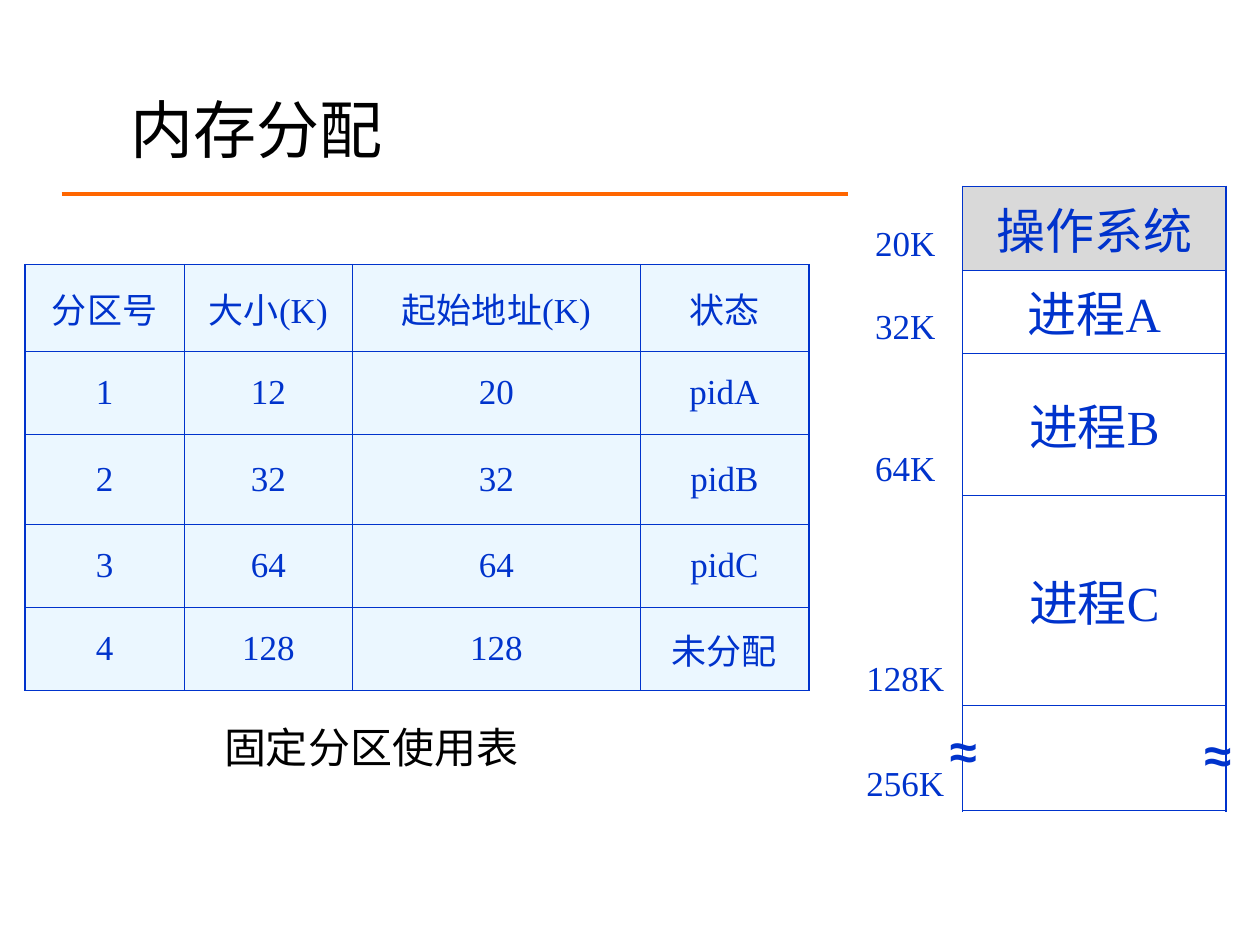
from lxml.etree import SubElement
from pptx import Presentation
from pptx.dml.color import RGBColor
from pptx.enum.shapes import MSO_CONNECTOR
from pptx.enum.text import MSO_ANCHOR, PP_ALIGN
from pptx.oxml.ns import qn
from pptx.util import Inches, Pt

COLORS = {
    "ink": "000000",
    "blue": "0033CC",
    "rule": "FF6600",
    "pale": "EBF7FF",
    "system": "D9D9D9",
    "white": "FFFFFF",
}
THIN, THICK = 0.45, 1.08


def write_text(frame, text, size, font, color, bold=False, align=PP_ALIGN.LEFT):
    paragraph = frame.paragraphs[0]
    paragraph.alignment = align
    run = paragraph.add_run()
    run.text = text
    run.font.size = Pt(size)
    run.font.name = font
    run.font.bold = bold
    run.font.color.rgb = RGBColor.from_string(COLORS[color])


def fill_cell(cell, text, size, fill, anchor, borders):
    properties = cell._tc.get_or_add_tcPr()
    for side in "LRTB":
        width = borders.get(side, 0)
        line = SubElement(properties, qn(f"a:ln{side}"), w=str(Pt(width)))
        if width:
            solid = SubElement(line, qn("a:solidFill"))
            SubElement(solid, qn("a:srgbClr"), val=COLORS["blue"])
        else:
            SubElement(line, qn("a:noFill"))
    cell.fill.solid()
    cell.fill.fore_color.rgb = RGBColor.from_string(COLORS[fill])
    cell.vertical_anchor = anchor
    if text:
        write_text(cell.text_frame, text, size, "Times New Roman", "blue", align=PP_ALIGN.CENTER)


presentation = Presentation()
presentation.slide_width = Inches(10)
presentation.slide_height = Inches(7.5)
slide = presentation.slides.add_slide(presentation.slide_layouts[6])

title_rule = slide.shapes.add_connector(
    MSO_CONNECTOR.STRAIGHT, Inches(0.49), Inches(1.54), Inches(9.57), Inches(1.54)
)
title_rule.line.color.rgb = RGBColor.from_string(COLORS["rule"])
title_rule.line.width = Pt(2.25)
SubElement(title_rule._element.spPr, qn("a:effectLst"))

partition_rows = [
    ["分区号", "大小(K)", "起始地址(K)", "状态"],
    ["1", "12", "20", "pidA"],
    ["2", "32", "32", "pidB"],
    ["3", "64", "64", "pidC"],
    ["4", "128", "128", "未分配"],
]
memory_rows = [
    ["20K", "操作系统"],
    ["32K", "进程A"],
    ["64K", "进程B"],
    ["128K", "进程C"],
    ["256K", ""],
]
table_layouts = [
    (partition_rows, 0.2, 2.1, [1.26, 1.34, 2.28, 1.34], [0.69, 0.66, 0.71, 0.66, 0.66]),
    (memory_rows, 6.73, 1.48, [0.91, 2.09], [0.66, 0.66, 1.13, 1.66, 0.84]),
]
tables = []
for rows, left, top, widths, heights in table_layouts:
    table = slide.shapes.add_table(
        len(rows), len(widths), Inches(left), Inches(top),
        Inches(sum(widths)), Inches(sum(heights)),
    ).table
    table.first_row = False
    table.horz_banding = False
    for column, width in zip(table.columns, widths):
        column.width = Inches(width)
    for row, height in zip(table.rows, heights):
        row.height = Inches(height)
    tables.append(table)
partition_table, memory_table = tables

for r, row in enumerate(partition_rows):
    for c, text in enumerate(row):
        borders = {
            "L": THICK if c == 0 else THIN,
            "R": THICK if c == len(row) - 1 else THIN,
            "T": THICK if r == 0 else THIN,
            "B": THICK if r == len(partition_rows) - 1 else THIN,
        }
        fill_cell(partition_table.cell(r, c), text, 20, "pale", MSO_ANCHOR.MIDDLE, borders)

for r, (address, owner) in enumerate(memory_rows):
    fill_cell(memory_table.cell(r, 0), address, 20, "white", MSO_ANCHOR.BOTTOM, {"R": THIN})
    borders = {
        "L": THIN,
        "R": THICK,
        "T": THICK if r == 0 else THIN,
        "B": THICK if r == len(memory_rows) - 1 else THIN,
    }
    fill = "system" if r == 0 else "white"
    fill_cell(memory_table.cell(r, 1), owner, 28, fill, MSO_ANCHOR.MIDDLE, borders)

text_boxes = [
    ("内存分配", 0.94, 0.66, 8.45, 0.72, 36, "ink", False, MSO_ANCHOR.MIDDLE),
    ("固定分区使用表", 1.68, 5.68, 2.76, 0.55, 24, "ink", False, MSO_ANCHOR.TOP),
    ("≈", 9.46, 5.7, 0.61, 0.57, 28, "blue", True, MSO_ANCHOR.TOP),
    ("≈", 7.44, 5.67, 0.67, 0.57, 28, "blue", True, MSO_ANCHOR.TOP),
]
for text, left, top, width, height, size, color, bold, anchor in text_boxes:
    box = slide.shapes.add_textbox(Inches(left), Inches(top), Inches(width), Inches(height))
    box.text_frame.word_wrap = True
    box.text_frame.vertical_anchor = anchor
    write_text(box.text_frame, text, size, "Arial", color, bold)

presentation.save("out.pptx")
